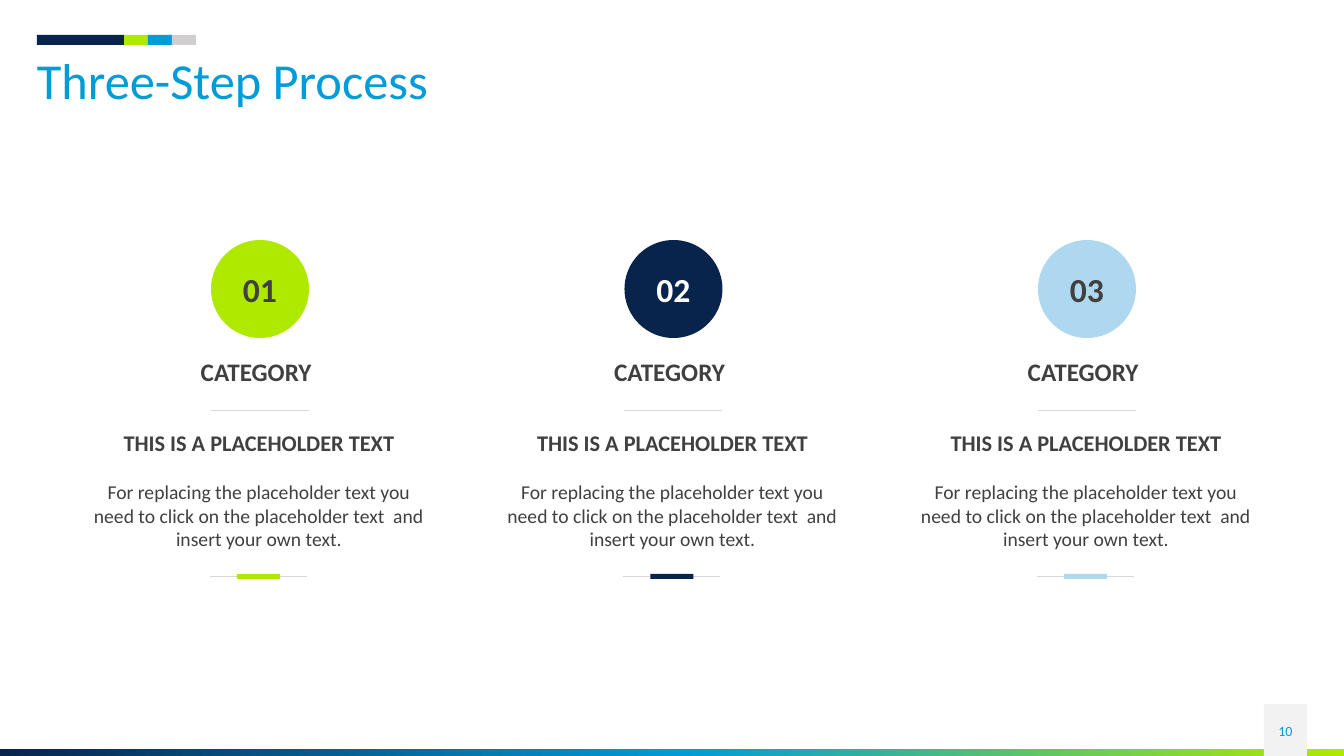
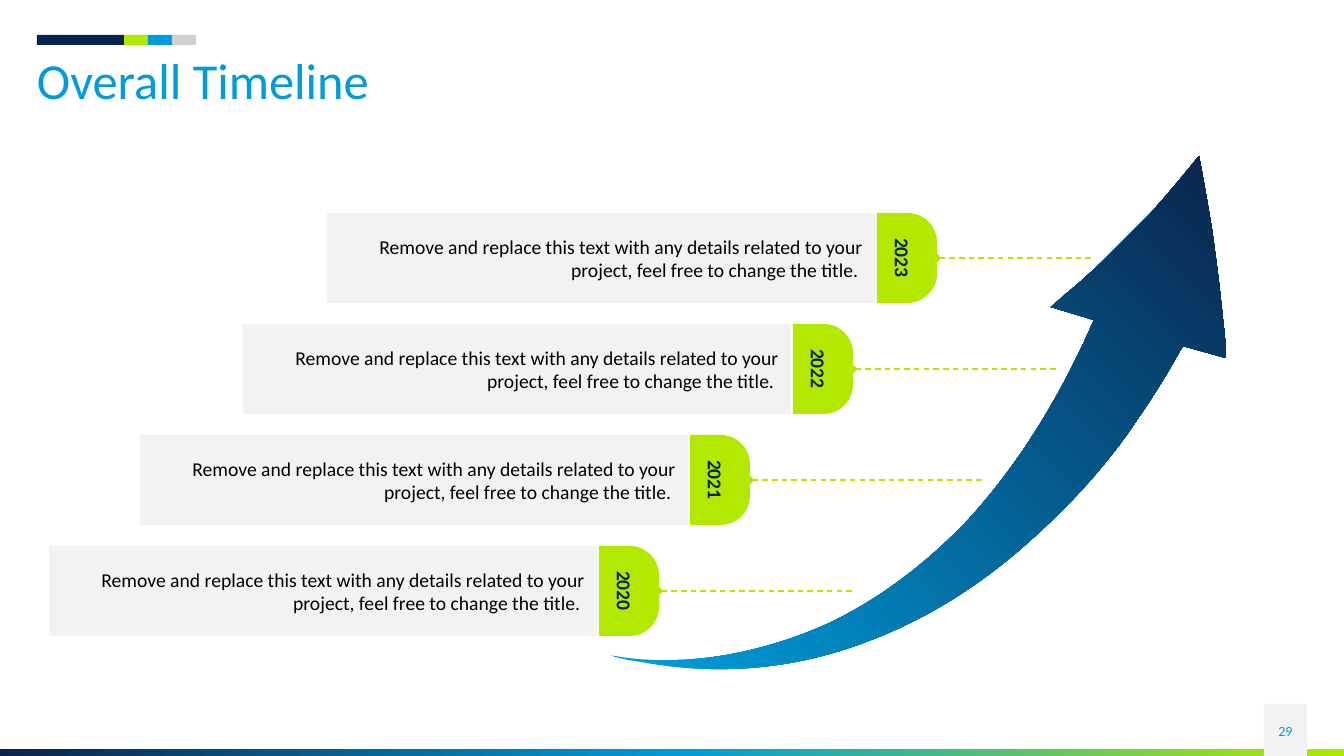
"""Build a three-step process slide and a timeline slide."""
from copy import deepcopy

from lxml import etree
from pptx import Presentation
from pptx import util as u
from pptx.dml.color import RGBColor
from pptx.enum import dml, shapes, text
from pptx.oxml.ns import qn

NAVY = RGBColor(0x09, 0x24, 0x4C)
BLUE = RGBColor(0x00, 0x9C, 0xDA)
LIME = RGBColor(0xB0, 0xE9, 0x00)
TAB_LIME = RGBColor(0xB3, 0xE9, 0x00)
SKY = RGBColor(0xAE, 0xD8, 0xEF)
SILVER = RGBColor(0xD0, 0xCE, 0xCE)
RULE = RGBColor(0xD9, 0xD9, 0xD9)
PALE = RGBColor(0xF2, 0xF2, 0xF2)
INK = RGBColor(0x40, 0x40, 0x40)
BLACK = RGBColor(0, 0, 0)
WHITE = RGBColor(0xFF, 0xFF, 0xFF)

PX = 914400 / 100.8
WIDTH, HEIGHT = 1344, 756
MARGIN = 37
FONT = "Calibri"
LEFT, CENTER, RIGHT = text.PP_ALIGN.LEFT, text.PP_ALIGN.CENTER, text.PP_ALIGN.RIGHT
RECT = shapes.MSO_SHAPE.RECTANGLE

ACCENTS = [(NAVY, 87), (LIME, 24), (BLUE, 24), (SILVER, 24)]
FOOTER_STOPS = [(0, NAVY), (0.51, BLUE), (1, LIME)]
ARROW_STOPS = [(0.02, BLUE), (1, NAVY)]

STEPS = [("01", LIME, INK), ("02", NAVY, WHITE), ("03", SKY, INK)]
STEP_TEXTS = [
    ("CATEGORY ", 356, 188, 34, 18, True),
    ("THIS IS A PLACEHOLDER TEXT", 429, 332, 31, 16, True),
    ("For replacing the placeholder text you need to click on the "
     "placeholder text  and insert your own text.", 480, 332, 76, 14, False),
]
FIRST_STEP, LAST_STEP, CIRCLE = 211, 1038, 98

DETAIL = ("Remove and replace this text with any details related to your "
          "project, feel free to change the title. ")
YEARS = [("2023", 327, 1091), ("2022", 243, 1057), ("2021", 140, 985), ("2020", 49, 853)]
YEAR_TOP, YEAR_PITCH, BAR_WIDTH, BAR_HEIGHT = 213, 111, 548, 90
TAB_OFFSET, TAB_DEPTH = 550, 60

ARROW_TIP = (1199, 156)
ARROW_EDGES = [
    [(1204, 181), (1208, 206), (1212, 229)],
    [(1215, 251), (1218, 273), (1220, 291)],
    [(1222, 310), (1224, 327), (1225, 338)],
    [(1226, 350), (1226, 357), (1226, 358)],
    [(1183, 346)],
    [(1178, 354), (1164, 381), (1139, 417)],
    [(1115, 454), (1079, 497), (1032, 539)],
    [(987, 580), (931, 618), (866, 642)],
    [(803, 666), (732, 676), (654, 664)],
    [(641, 662)],
    [(628, 660)],
    [(615, 657)],
    [(611, 655)],
    [(613, 656), (614, 656), (615, 656)],
    [(617, 656), (619, 657), (621, 657)],
    [(640, 660), (669, 662), (705, 658)],
    [(740, 654), (782, 644), (827, 624)],
    [(872, 603), (920, 570), (967, 521)],
    [(1013, 471), (1057, 405), (1094, 320)],
    [(1051, 307)],
    [(1052, 306), (1058, 301), (1067, 293)],
    [(1077, 285), (1089, 274), (1103, 261)],
    [(1117, 247), (1133, 231), (1150, 214)],
    [(1166, 196), (1183, 176), (1199, 156)],
]


def px(*lengths):
    return [round(length * PX) for length in lengths]


def apply(target, values):
    for name, value in values.items():
        setattr(target, name, value)


def write(shape, words, size, color, bold=False, align=CENTER, middle=True,
          insets=(0, 0, 0, 0), **spacing):
    frame = shape.text_frame
    left, top, right, bottom = px(*insets)
    anchor = text.MSO_ANCHOR.MIDDLE if middle else text.MSO_ANCHOR.TOP
    apply(frame, {"word_wrap": True, "vertical_anchor": anchor,
                  "margin_left": left, "margin_top": top,
                  "margin_right": right, "margin_bottom": bottom})
    paragraph = frame.paragraphs[0]
    apply(paragraph, {"alignment": align, **spacing})
    run = paragraph.add_run()
    run.text = words
    apply(run.font, {"name": FONT, "size": u.Pt(size), "bold": bold})
    run.font.color.rgb = color


def label(slide, box, *args, **kwargs):
    write(slide.shapes.add_textbox(*px(*box)), *args, **kwargs)


def finish(shape, color=None):
    shape.shadow.inherit = False
    shape.line.fill.background()
    if color is not None:
        shape.fill.solid()
        shape.fill.fore_color.rgb = color
    return shape


def block(slide, box, color=None, kind=RECT):
    return finish(slide.shapes.add_shape(kind, *px(*box)), color)


def blend(shape, stops, angle):
    shape.fill.gradient()
    shape.fill.gradient_angle = angle
    first = shape._element.spPr.find(".//" + qn("a:gs"))
    for _ in stops[2:]:
        first.addnext(deepcopy(first))
    for stop, (position, color) in zip(shape.fill.gradient_stops, stops):
        stop.position = position
        stop.color.rgb = color


def rule(slide, x1, x2, y, color, width, dotted=False):
    line = slide.shapes.add_connector(shapes.MSO_CONNECTOR.STRAIGHT, *px(x1, y, x2, y))
    line.line.color.rgb = color
    line.line.width = u.Pt(width)
    properties = line._element.spPr
    if dotted:
        line.line.dash_style = dml.MSO_LINE.DASH
        etree.SubElement(properties.find(qn("a:ln")), qn("a:headEnd"), type="oval")
    etree.SubElement(properties, qn("a:effectLst"))


def new_slide(deck, title, number):
    slide = deck.slides.add_slide(deck.slide_layouts[6])
    blend(block(slide, (0, 749, WIDTH, 7)), FOOTER_STOPS, 0)
    block(slide, (1264, 704, 43, 52), PALE)
    x = MARGIN
    for color, width in ACCENTS:
        block(slide, (x, 35, width, 10), color)
        x += width
    label(slide, (MARGIN, 56, 1270, 55), title, 36, BLUE, align=LEFT,
          middle=False, line_spacing=0.9)
    label(slide, (1264, 711, 43, 40), number, 10, BLUE)
    return slide


def growth_arrow(slide):
    builder = slide.shapes.build_freeform(*px(*ARROW_TIP))
    builder.add_line_segments([px(*edge[-1]) for edge in ARROW_EDGES], close=True)
    arrow = finish(builder.convert_to_shape())
    sides = arrow._element.spPr.findall(".//" + qn("a:lnTo"))
    for side, edge in zip(sides, ARROW_EDGES):
        if len(edge) == 1:
            continue
        curve = etree.Element(qn("a:cubicBezTo"))
        for point in edge:
            x, y = px(*point)
            etree.SubElement(curve, qn("a:pt"), x=str(x - arrow.left), y=str(y - arrow.top))
        side.getparent().replace(side, curve)
    blend(arrow, ARROW_STOPS, 45)


def process(deck):
    slide = new_slide(deck, "Three-Step Process", "10")
    pitch = (LAST_STEP - FIRST_STEP) / (len(STEPS) - 1)
    for i, (number, color, number_color) in enumerate(STEPS):
        left = FIRST_STEP + i * pitch
        middle = left + 48
        circle = block(slide, (left, 240, CIRCLE, CIRCLE), color, shapes.MSO_SHAPE.OVAL)
        write(circle, number, 24, number_color, True)
        for words, top, width, height, size, bold in STEP_TEXTS:
            label(slide, (middle - width / 2, top, width, height), words, size, INK,
                  bold, middle=False, insets=(0, 0, 0, 4))
        rule(slide, left, left + 98, 410, RULE, 0.5)
        rule(slide, left - 1, left + 96, 576, RULE, 0.5)
        block(slide, (left + 26, 574, 43, 5), color)


def timeline(deck):
    slide = new_slide(deck, "Overall Timeline", "29")
    growth_arrow(slide)
    for i, (year, left, line_end) in enumerate(YEARS):
        top = YEAR_TOP + i * YEAR_PITCH
        tab_left = left + TAB_OFFSET
        rule(slide, tab_left + TAB_DEPTH - 1, line_end, top + BAR_HEIGHT / 2,
             TAB_LIME, 1, True)
        bar = block(slide, (left, top, BAR_WIDTH, BAR_HEIGHT), PALE)
        write(bar, DETAIL, 14, BLACK, align=RIGHT, insets=(12, 4, 12, 4),
              space_before=u.Pt(5.3))
        turn = (BAR_HEIGHT - TAB_DEPTH) / 2
        tab = block(slide, (tab_left - turn, top + turn, BAR_HEIGHT, TAB_DEPTH),
                    TAB_LIME, shapes.MSO_SHAPE.ROUND_2_SAME_RECTANGLE)
        tab.rotation = 90
        tab.adjustments[0] = 0.49
        write(tab, year, 14, NAVY, True, insets=(10, 5, 10, 5))


deck = Presentation()
deck.slide_width, deck.slide_height = px(WIDTH, HEIGHT)
process(deck)
timeline(deck)
deck.save("out.pptx")
